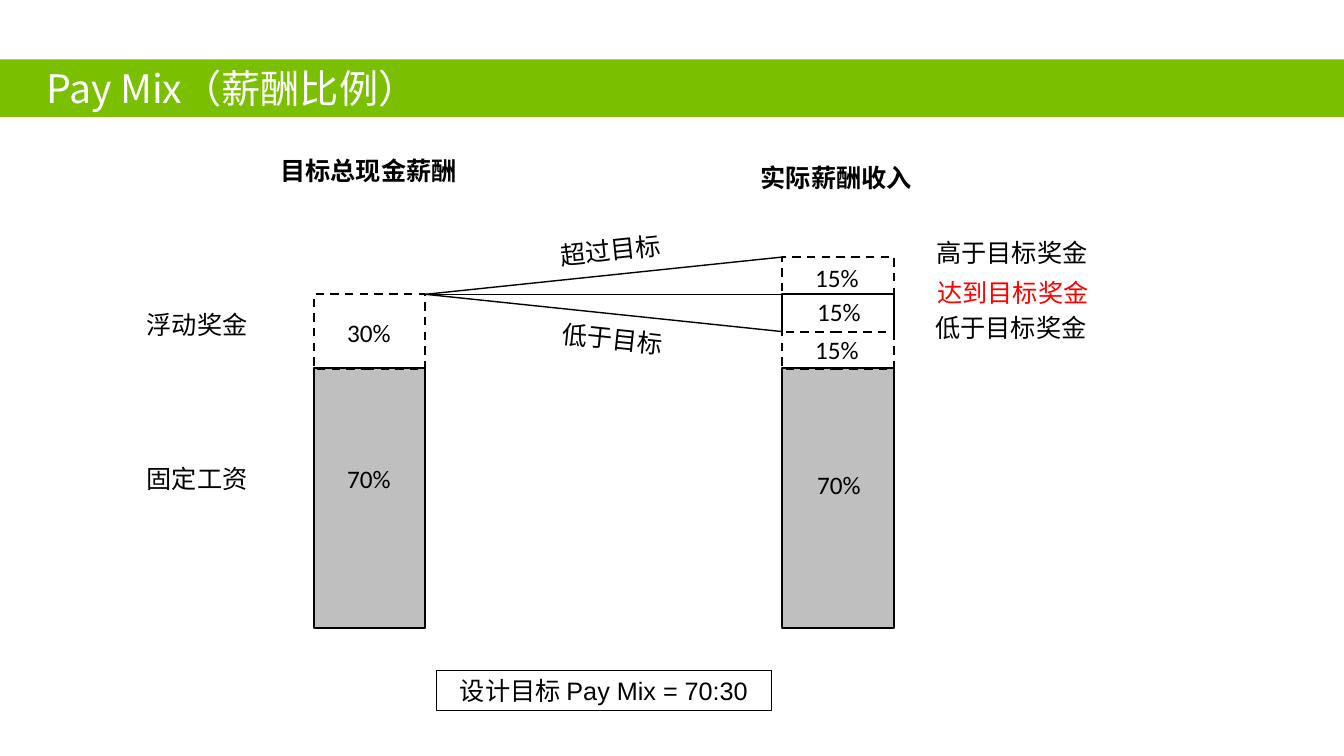
from lxml import etree
from pptx import Presentation
from pptx import util as u
from pptx.dml.color import RGBColor
from pptx.enum import dml, shapes, text
from pptx.oxml import ns

PX = 9144


def tint(code):
    return RGBColor.from_string(code)


class Board:
    sans = "Noto Sans CJK SC"
    digit = "Calibri"
    ink = "000000"
    grey = "BFBFBF"
    size = 18

    def __init__(self, deck):
        self.slide = deck.slides.add_slide(deck.slide_layouts[6])
        self.items = self.slide.shapes

    def style(self, run, font, size, color, bold):
        run.font.name = font
        run.font.size = u.Pt(size)
        run.font.bold = bold
        run.font.color.rgb = tint(color)
        east = etree.SubElement(run.font._element, ns.qn("a:ea"))
        east.set("typeface", font)

    def fill(self, frame, parts, size=size, color=ink, bold=False, align="CENTER"):
        frame.word_wrap = True
        para = frame.paragraphs[0]
        para.alignment = text.PP_ALIGN[align]
        for words, font in parts:
            run = para.add_run()
            run.text = words
            self.style(run, font, size, color, bold)

    def box(self, x, y, w, h, paint=None, line=None, dash=False):
        rect = self.items.add_shape(
            shapes.MSO_SHAPE.RECTANGLE, *(n * PX for n in (x, y, w, h)))
        rect.shadow.inherit = False
        if paint:
            rect.fill.solid()
            rect.fill.fore_color.rgb = tint(paint)
        else:
            rect.fill.background()
        if line:
            rect.line.color.rgb = tint(self.ink)
            rect.line.width = u.Pt(line)
            if dash:
                rect.line.dash_style = dml.MSO_LINE.DASH
        else:
            rect.line.fill.background()
        return rect

    def label(self, x, y, words, w=199, font=sans, turn=0, **look):
        area = self.items.add_textbox(x * PX, y * PX, w * PX, 40 * PX)
        area.rotation = turn
        self.fill(area.text_frame, [(words, font)], **look)

    def line(self, x, y, x2, y2):
        link = self.items.add_connector(
            shapes.MSO_CONNECTOR.STRAIGHT, x * PX, y * PX, x2 * PX, y2 * PX)
        link.line.color.rgb = tint(self.ink)
        link.line.width = u.Pt(1)
        etree.SubElement(link._element.spPr, ns.qn("a:effectLst"))


def main():
    deck = Presentation()
    deck.slide_width = 1333 * PX
    deck.slide_height = 750 * PX
    board = Board(deck)

    title = board.box(0, 59, 1333, 57, paint="7ABF00")
    title.text_frame.margin_left = 46 * PX
    board.fill(title.text_frame, [("Pay Mix（薪酬比例）", board.sans)],
               size=28, color="FFFFFF", align="LEFT")

    left, right, wide = 311, 776, 111
    goal, step = 292, 37
    for x in (left, right):
        board.box(x, 365, wide, 258, paint=board.grey, line=1.5)
        board.box(x, goal, wide, 2 * step, line=1.5, dash=True)
    for y in (goal - step, goal):
        board.box(right, y, wide, step, line=1.5, dash=True)
    for shift in (0, step, -step):
        board.line(left + wide, goal, right, goal + shift)

    for x, y, share in [(329, 310, "30%"), (329, 455, "70%"), (795, 461, "70%"),
                        (793, 255, "15%"), (795, 289, "15%"), (793, 327, "15%")]:
        board.label(x, y, share, w=74, font=board.digit)

    board.label(266, 149, "目标总现金薪酬", bold=True)
    board.label(730, 156, "实际薪酬收入", bold=True)
    board.label(506, 228, "超过目标", turn=-6)
    board.label(508, 316, "低于目标", turn=6)
    board.label(904, 231, "高于目标奖金")
    board.label(905, 270, "达到目标奖金", color="FF0000")
    board.label(903, 305, "低于目标奖金")
    board.label(96, 302, "浮动奖金")
    board.label(96, 455, "固定工资")

    note = board.box(433, 665, 332, 40, line=0.75)
    board.fill(note.text_frame,
               [("设计目标 ", board.sans), ("Pay Mix = 70:30", "Arial")])

    deck.save("out.pptx")


if __name__ == "__main__":
    main()
